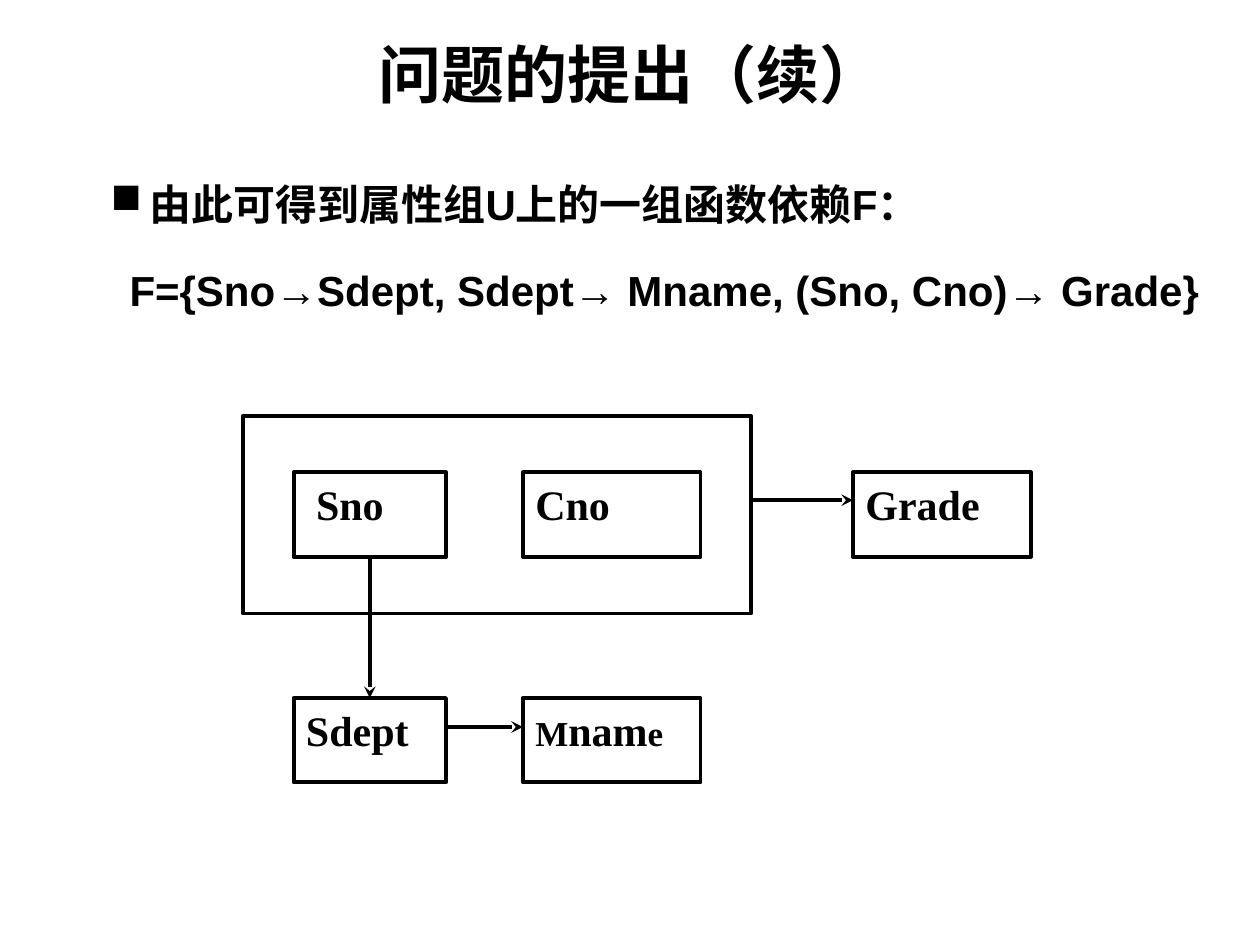
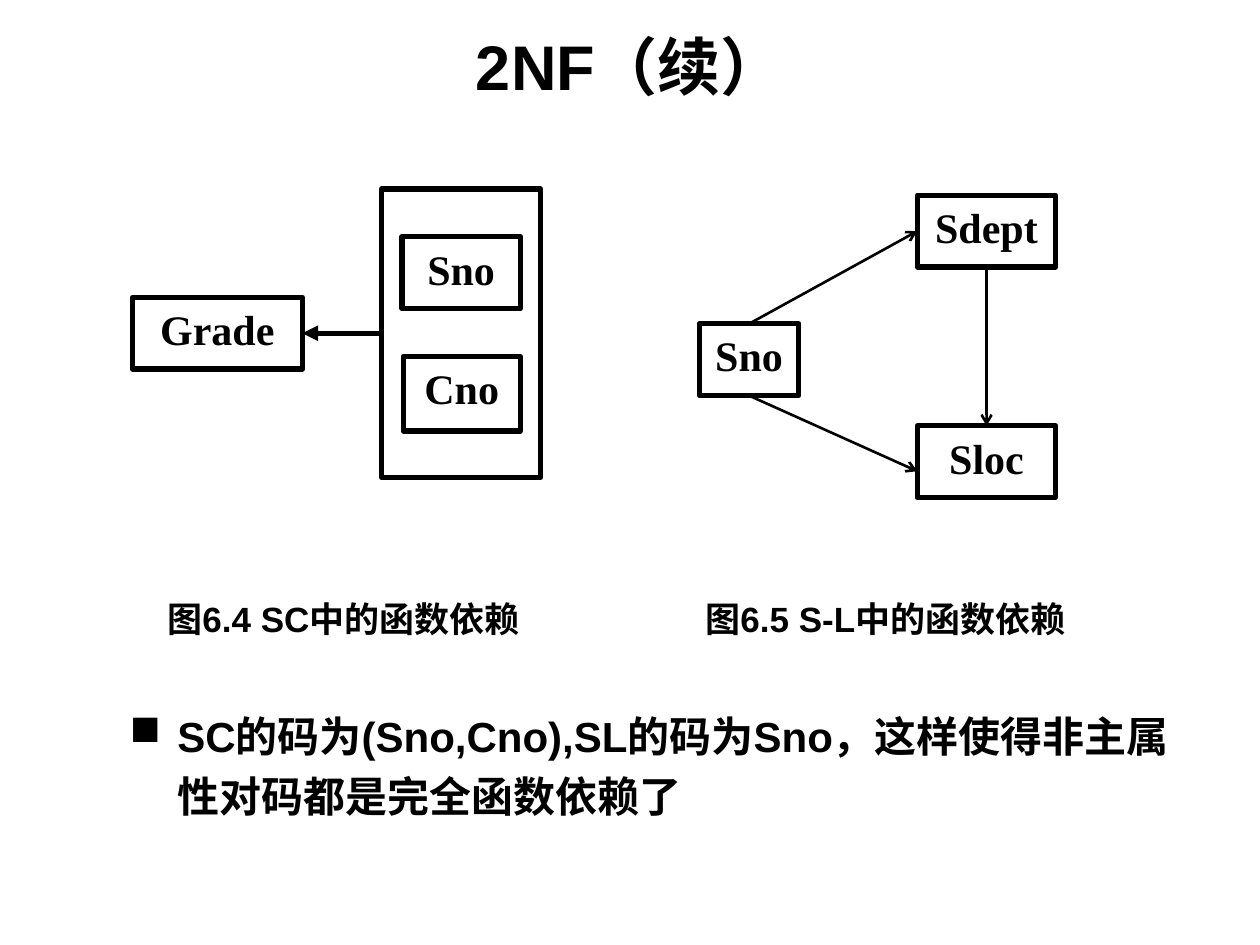
import pptx
import pptx.util
import pptx.dml.color
import pptx.enum.shapes
import pptx.enum.text
import pptx.oxml.ns
from lxml import etree

Inches = pptx.util.Inches
Pt = pptx.util.Pt
ALIGN = pptx.enum.text.PP_ALIGN
ANCHOR = pptx.enum.text.MSO_ANCHOR
TOP, LEFT, BOTTOM, RIGHT = range(4)

BLACK = "000000"
WHITE = "FFFFFF"
SANS = "Arial"
SERIF = "Times New Roman"


def color(hex_string):
    return pptx.dml.color.RGBColor.from_string(hex_string)


def set_attributes(target, values):
    for name, value in values.items():
        setattr(target, name, value)


def add_element(parent, tag, **attributes):
    return etree.SubElement(parent, pptx.oxml.ns.qn(tag), attributes)


class Deck:
    """Holds the shared style and the slide being drawn."""

    def __init__(self):
        self.presentation = pptx.Presentation()
        set_attributes(self.presentation, {
            "slide_width": Inches(10), "slide_height": Inches(7.5)})
        self.slide = None

    def style_font(self, font, name, size):
        set_attributes(font, {"name": name, "size": Pt(size), "bold": True})
        font.color.rgb = color(BLACK)

    def set_frame(self, shape, anchor=ANCHOR.TOP, wrap=True):
        set_attributes(shape.text_frame, {
            "word_wrap": wrap,
            "auto_size": pptx.enum.text.MSO_AUTO_SIZE.NONE,
            "vertical_anchor": anchor,
            "margin_left": Inches(0.1), "margin_right": Inches(0.1),
            "margin_top": Inches(0.05), "margin_bottom": Inches(0.05)})
        return shape.text_frame

    def fill_paragraph(self, paragraph, runs, name, size, **paragraph_format):
        """Fill a paragraph; runs is a string or a list of (text, size)."""
        set_attributes(paragraph, paragraph_format)
        pieces = [(runs, size)] if isinstance(runs, str) else runs
        for text, run_size in pieces:
            run = paragraph.add_run()
            run.text = text
            self.style_font(run.font, name, run_size)

    def indent(self, paragraph, left, hanging=0.0, bullet=None):
        properties = paragraph._p.get_or_add_pPr()
        properties.set("marL", str(Inches(left)))
        properties.set("indent", str(-Inches(hanging)))
        if bullet:
            bullet_color = add_element(properties, "a:buClr")
            add_element(bullet_color, "a:srgbClr", val=BLACK)
            add_element(properties, "a:buChar", char=bullet)

    def add_slide(self, title, title_height):
        layout = self.presentation.slide_layouts[5]
        self.slide = self.presentation.slides.add_slide(layout)
        fill = self.slide.background.fill
        fill.solid()
        fill.fore_color.rgb = color(WHITE)
        shape = self.slide.shapes.title
        set_attributes(shape, {
            "left": Inches(0.5), "top": Inches(-0.04),
            "width": Inches(9), "height": Inches(title_height)})
        frame = self.set_frame(shape, ANCHOR.MIDDLE)
        self.fill_paragraph(frame.paragraphs[0], title, SANS, 36,
                            alignment=ALIGN.CENTER)

    def text_box(self, left, top, width, height, wrap=True):
        shape = self.slide.shapes.add_textbox(
            Inches(left), Inches(top), Inches(width), Inches(height))
        return self.set_frame(shape, wrap=wrap)

    def caption(self, left, width, text):
        frame = self.text_box(left, 4.69, width, 0.44, wrap=False)
        self.fill_paragraph(frame.paragraphs[0], text, SANS, 20)

    def box(self, left, top, width, height, line_width,
            runs=None, alignment=ALIGN.CENTER, text_indent=0):
        shape = self.slide.shapes.add_shape(
            pptx.enum.shapes.MSO_SHAPE.RECTANGLE,
            Inches(left), Inches(top), Inches(width), Inches(height))
        shape.shadow.inherit = False
        shape.fill.background()
        shape.line.color.rgb = color(BLACK)
        shape.line.width = Pt(line_width)
        if runs:
            paragraph = self.set_frame(shape).paragraphs[0]
            self.fill_paragraph(paragraph, runs, SERIF, 24,
                                alignment=alignment)
            self.indent(paragraph, text_indent)
        return shape

    def arrow(self, start, end, line_width, head):
        """Each end is a point in inches or a (shape, side) pair to join."""
        joined = [not isinstance(place[0], (int, float))
                  for place in (start, end)]
        points = [(0, 0) if is_joined else place
                  for place, is_joined in zip((start, end), joined)]
        connector = self.slide.shapes.add_connector(
            pptx.enum.shapes.MSO_CONNECTOR.STRAIGHT,
            *(Inches(value) for point in points for value in point))
        if joined[0]:
            connector.begin_connect(*start)
        if joined[1]:
            connector.end_connect(*end)
        connector.line.color.rgb = color(BLACK)
        connector.line.width = Pt(line_width)
        add_element(connector.line._get_or_add_ln(), "a:tailEnd", type=head)
        add_element(connector._element.spPr, "a:effectLst")


def build_problem_slide(deck):
    deck.add_slide("问题的提出（续）", 1.24)

    # Dependency set
    frame = deck.text_box(0.28, 1.17, 9.5, 1.8)
    heading = frame.paragraphs[0]
    deck.indent(heading, 0.81, 0.31, "■")
    deck.fill_paragraph(heading, "由此可得到属性组U上的一组函数依赖F：",
                        SANS, 24, line_spacing=1.5)
    formula = frame.add_paragraph()
    deck.indent(formula, 0.65)
    deck.fill_paragraph(formula,
                        "F={Sno→Sdept, Sdept→ Mname, (Sno, Cno)→ Grade}",
                        SANS, 24, line_spacing=1.5, space_before=Pt(6))

    # Attribute boxes
    line_width = 2.25
    upper, lower = 3.75, 5.54
    deck.box(1.93, 3.3, 4.03, 1.57, line_width)
    boxes = {}
    for name, left, top, width, runs, text_indent in (
            ("Sno", 2.33, upper, 1.21, "Sno", 0.08),
            ("Cno", 4.15, upper, 1.41, "Cno", 0),
            ("Sdept", 2.33, lower, 1.21, "Sdept", 0),
            ("Mname", 4.15, lower, 1.41,
             [("M", 20), ("nam", 24), ("e", 20)], 0),
            ("Grade", 6.77, upper, 1.41, "Grade", 0)):
        boxes[name] = deck.box(left, top, width, 0.67, line_width, runs,
                               ALIGN.JUSTIFY, text_indent)

    # Dependency arrows
    for start, end in (
            ((boxes["Sno"], BOTTOM), (boxes["Sdept"], TOP)),
            ((3.54, 5.77), (4.15, 5.77)),
            ((5.96, 3.97), (6.77, 3.97))):
        deck.arrow(start, end, line_width, "stealth")


def build_second_form_slide(deck):
    deck.add_slide("2NF（续）", 1.11)
    line_width = 3

    # SC dependencies
    key_group = deck.box(3.03, 1.5, 1.26, 2.29, line_width)
    deck.box(3.19, 1.88, 0.94, 0.57, line_width, "Sno")
    deck.box(3.2, 2.83, 0.93, 0.59, line_width, "Cno")
    grade = deck.box(1.05, 2.36, 1.35, 0.57, line_width, "Grade")
    deck.arrow((key_group, LEFT), (grade, RIGHT), line_width, "triangle")

    # S-L dependencies
    student, department, location = (
        deck.box(left, top, width, 0.57, line_width, name)
        for left, top, width, name in (
            (5.55, 2.57, 0.79, "Sno"),
            (7.28, 1.55, 1.1, "Sdept"),
            (7.28, 3.38, 1.1, "Sloc")))
    for start, end in (
            ((student, TOP), (department, LEFT)),
            ((student, BOTTOM), (7.28, 3.74)),
            ((department, BOTTOM), (location, TOP))):
        deck.arrow(start, end, 1.5, "arrow")

    # Captions and conclusion
    deck.caption(1.23, 3.13, "图6.4 SC中的函数依赖")
    deck.caption(5.5, 3.19, "图6.5 S-L中的函数依赖")
    conclusion = deck.text_box(0.5, 5.51, 9, 1.26).paragraphs[0]
    deck.indent(conclusion, 0.81, 0.38, "■")
    deck.fill_paragraph(conclusion,
                        "SC的码为(Sno,Cno),SL的码为Sno，"
                        "这样使得非主属性对码都是完全函数依赖了",
                        SANS, 24, line_spacing=1.2)


def main():
    deck = Deck()
    build_problem_slide(deck)
    build_second_form_slide(deck)
    deck.presentation.save("out.pptx")


if __name__ == "__main__":
    main()
